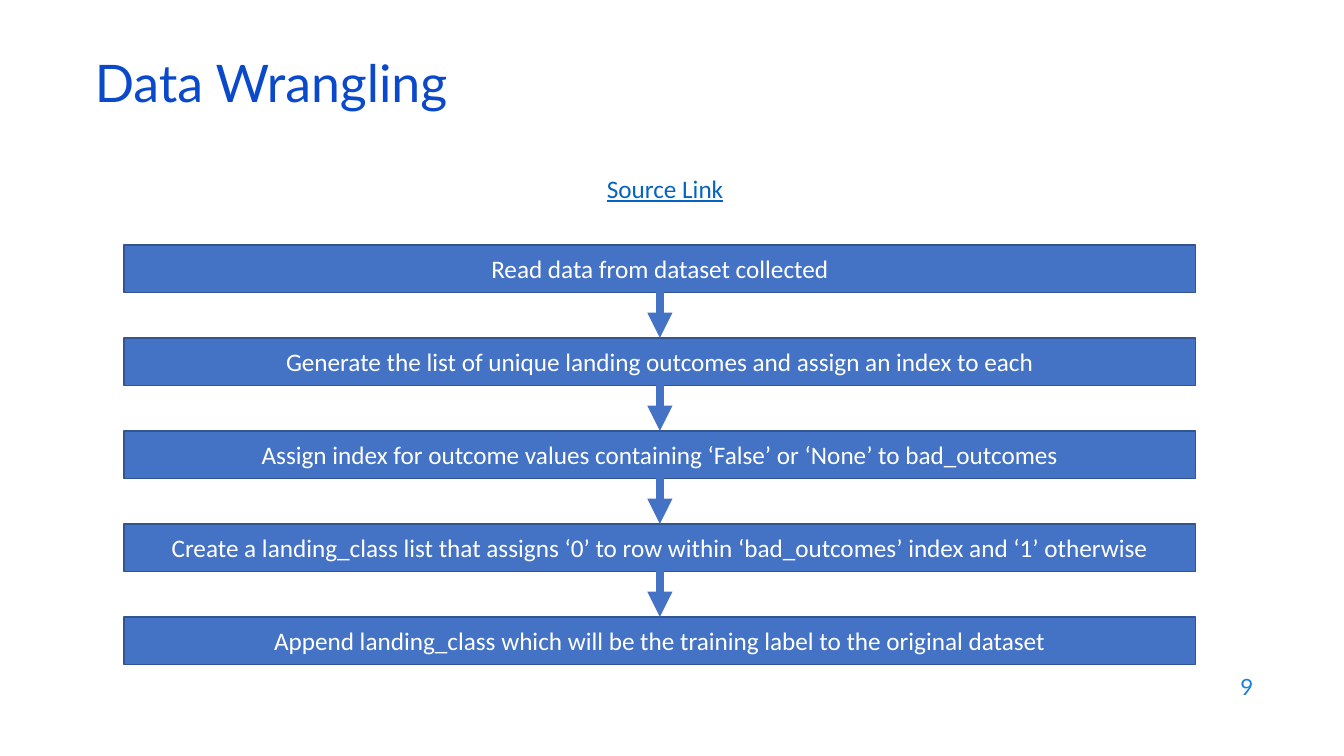
from lxml.etree import SubElement
from pptx import Presentation
from pptx.dml.color import RGBColor
from pptx.enum.shapes import MSO_CONNECTOR, MSO_SHAPE
from pptx.enum.text import MSO_ANCHOR, MSO_AUTO_SIZE, PP_ALIGN
from pptx.oxml.ns import qn
from pptx.util import Inches, Pt

BLUE = RGBColor(0x44, 0x72, 0xC4)
EDGE = RGBColor(0x32, 0x54, 0x91)
WHITE = RGBColor(0xFF, 0xFF, 0xFF)
TITLE = RGBColor(0x0B, 0x49, 0xCB)
LINK = RGBColor(0x05, 0x63, 0xC1)
PAGE = RGBColor(0x1C, 0x7D, 0xDB)

STEPS = [
    "Read data from dataset collected",
    "Generate the list of unique landing outcomes and assign an index to each",
    "Assign index for outcome values containing ‘False’ or ‘None’ to bad_outcomes",
    "Create a landing_class list that assigns ‘0’ to row within ‘bad_outcomes’ index and ‘1’ otherwise",
    "Append landing_class which will be the training label to the original dataset",
]
LEFT, TOP, WIDTH, HEIGHT = 1.23, 2.43, 10.63, 0.47
LAST = 6.12
PITCH = (LAST - TOP) / (len(STEPS) - 1)


class Flow:
    head = "Lato"
    body = "Calibri"

    def __init__(self, deck):
        self.slide = deck.slides.add_slide(deck.slide_layouts[5])

    def put(self, shape, text, size, color, font, align=PP_ALIGN.LEFT,
            anchor=MSO_ANCHOR.MIDDLE, under=None):
        frame = shape.text_frame
        frame.word_wrap = True
        frame.auto_size = MSO_AUTO_SIZE.NONE
        frame.vertical_anchor = anchor
        para = frame.paragraphs[0]
        para.alignment = align
        run = para.add_run()
        run.text = text
        run.font.size = Pt(size)
        run.font.name = font
        run.font.color.rgb = color
        run.font.underline = under
        return para

    def title(self, text):
        shape = self.slide.shapes.title
        shape.left, shape.top = Inches(0.84), Inches(0.59)
        shape.width, shape.height = Inches(11.5), Inches(0.6)
        para = self.put(shape, text, 37, TITLE, self.head)
        para.line_spacing = 0.7

    def label(self, text, left, top, width, height, *style, **more):
        box = self.slide.shapes.add_textbox(
            Inches(left), Inches(top), Inches(width), Inches(height))
        self.put(box, text, *style, **more)

    def step(self, text, top):
        box = self.slide.shapes.add_shape(
            MSO_SHAPE.RECTANGLE, Inches(LEFT), Inches(top), Inches(WIDTH), Inches(HEIGHT))
        box.shadow.inherit = False
        box.fill.solid()
        box.fill.fore_color.rgb = BLUE
        box.line.color.rgb = EDGE
        box.line.width = Pt(1)
        self.put(box, text, 18, WHITE, self.body, PP_ALIGN.CENTER)
        return box

    def arrow(self, start, end):
        link = self.slide.shapes.add_connector(MSO_CONNECTOR.STRAIGHT, 0, 0, 0, 0)
        link.begin_connect(start, 2)
        link.end_connect(end, 0)
        link.line.color.rgb = BLUE
        link.line.width = Pt(6)
        props = link.element.spPr
        SubElement(props.find(qn("a:ln")), qn("a:tailEnd"), type="triangle")
        SubElement(props, qn("a:effectLst"))


def main():
    deck = Presentation()
    deck.slide_width, deck.slide_height = Inches(13.33), Inches(7.5)
    flow = Flow(deck)
    flow.title("Data Wrangling")
    flow.label("Source Link", 5.92, 1.67, 1.49, 0.4, 18, LINK, flow.body,
               anchor=MSO_ANCHOR.TOP, under=True)
    boxes = [flow.step(text, TOP + i * PITCH) for i, text in enumerate(STEPS)]
    for start, end in zip(boxes, boxes[1:]):
        flow.arrow(start, end)
    flow.label("9", 9.53, 6.59, 3, 0.44, 16, PAGE, flow.head, PP_ALIGN.RIGHT)
    deck.save("out.pptx")


if __name__ == "__main__":
    main()
